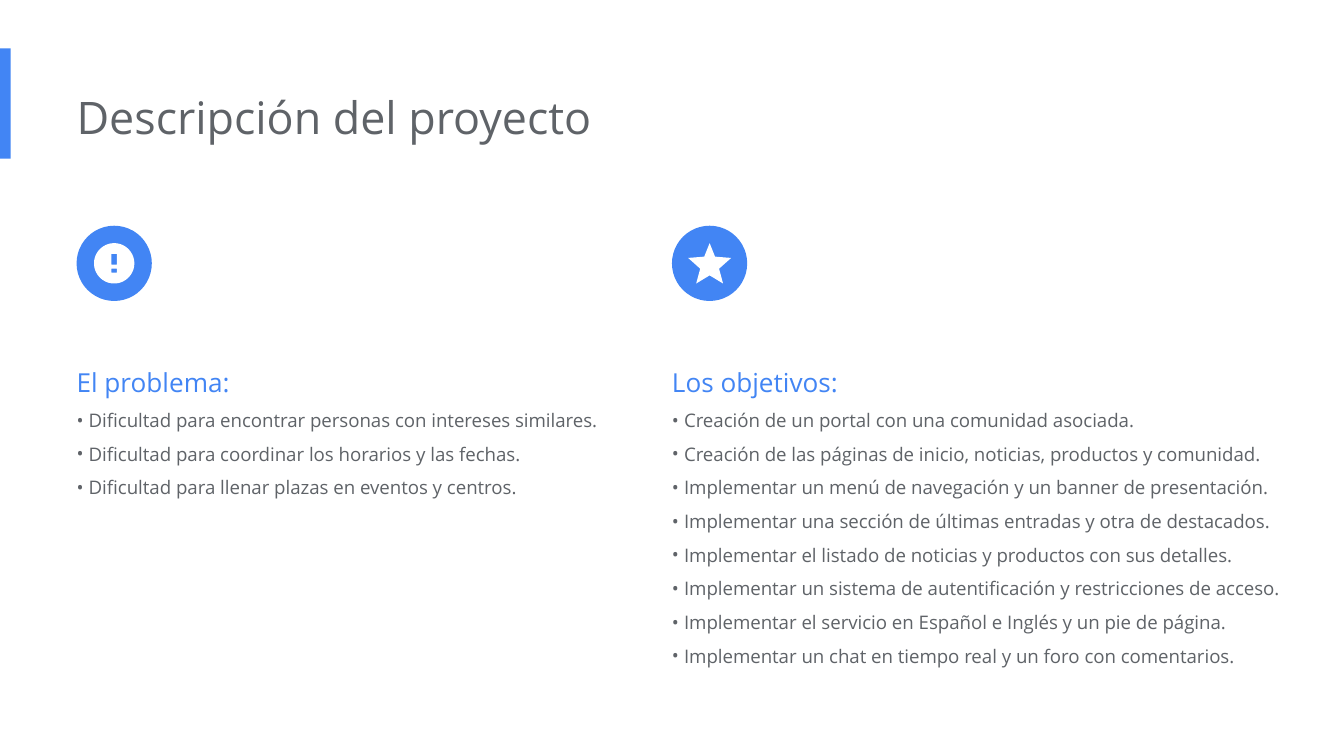
from math import cos, pi, sin

from lxml import etree
from pptx import Presentation
from pptx.dml.color import RGBColor
from pptx.enum.shapes import MSO_SHAPE
from pptx.enum.text import PP_ALIGN
from pptx.oxml.ns import qn
from pptx.util import Inches, Pt

RECTANGLE, OVAL = MSO_SHAPE.RECTANGLE, MSO_SHAPE.OVAL
LEFT, JUSTIFY = PP_ALIGN.LEFT, PP_ALIGN.JUSTIFY

# Content
TITLE = "Descripción del proyecto"
COLUMNS = [
    {
        "heading": "El problema:",
        "icon": "alert",
        "left": 0.57, "width": 4, "height": 1.79,
        "items": [
            "Dificultad para encontrar personas con intereses similares.",
            "Dificultad para coordinar los horarios y las fechas.",
            "Dificultad para llenar plazas en eventos y centros.",
        ],
    },
    {
        "heading": "Los objetivos:",
        "icon": "star",
        "left": 5, "width": 4.64, "height": 2.55,
        "items": [
            "Creación de un portal con una comunidad asociada.",
            "Creación de las páginas de inicio, noticias, productos y comunidad.",
            "Implementar un menú de navegación y un banner de presentación.",
            "Implementar una sección de últimas entradas y otra de destacados.",
            "Implementar el listado de noticias y productos con sus detalles.",
            "Implementar un sistema de autentificación y restricciones de acceso.",
            "Implementar el servicio en Español e Inglés y un pie de página.",
            "Implementar un chat en tiempo real y un foro con comentarios.",
        ],
    },
]
JUSTIFIED_ITEMS = 4  # later items are left-aligned

THEME = {
    "font": "Open Sans",
    "accent": RGBColor(0x42, 0x85, 0xF4),
    "text": RGBColor(0x5F, 0x63, 0x68),
    "white": RGBColor(0xFF, 0xFF, 0xFF),
    "title_size": Pt(24),
    "heading_size": Pt(14),
    "item_size": Pt(10),
}

# Layout, in inches
SLIDE_WIDTH = 10
SLIDE_HEIGHT = SLIDE_WIDTH * 9 / 16
BADGE_TOP, BADGE_SIZE = 1.68, 0.56
COLUMN_TOP = 2.45
BULLET_INDENT = 0.09


def circle(radius, steps=72):
    return [(radius * cos(2 * pi * i / steps), radius * sin(2 * pi * i / steps))
            for i in range(steps)]


def box(left, top, right, bottom):
    return [(left, top), (right, top), (right, bottom), (left, bottom)]


# Icon outlines, measured from the centre of the badge
ICONS = {
    "alert": [circle(0.15), box(-0.02, -0.07, 0.02, 0.01), box(-0.02, 0.04, 0.02, 0.07)],
    "star": [[(0, 0.09), (0.1, 0.15), (0.07, 0.04), (0.16, -0.04), (0.04, -0.05),
              (0, -0.15), (-0.04, -0.05), (-0.16, -0.04), (-0.07, 0.04), (-0.1, 0.15)]],
}


def paint(shape, color):
    shape.fill.solid()
    shape.fill.fore_color.rgb = color
    shape.line.fill.background()
    shape.shadow.inherit = False


def add_block(slide, kind, color, *bounds):
    paint(slide.shapes.add_shape(kind, *map(Inches, bounds)), color)


def add_icon(slide, outlines, center_x, center_y):
    contours = [[(Inches(center_x + x), Inches(center_y + y)) for x, y in outline]
                for outline in outlines]
    builder = slide.shapes.build_freeform(*contours[0][0])
    for number, contour in enumerate(contours):
        if number:
            builder.move_to(*contour[0])
        builder.add_line_segments(contour[1:], close=True)
    paint(builder.convert_to_shape(), THEME["white"])


def add_text_frame(slide, *bounds):
    frame = slide.shapes.add_textbox(*map(Inches, bounds)).text_frame
    frame.word_wrap = True
    frame.margin_left = 0
    frame.margin_top = frame.margin_right = frame.margin_bottom = Inches(0.1)
    return frame


def style(paragraph, size, color, spacing=1.0, align=LEFT):
    paragraph.alignment = align
    paragraph.line_spacing = spacing
    for run in paragraph.runs:
        run.font.name = THEME["font"]
        run.font.size = size
        run.font.color.rgb = color


def add_bullet(paragraph):
    properties = paragraph._p.get_or_add_pPr()
    properties.set("marL", str(Inches(BULLET_INDENT)))
    properties.set("indent", str(-Inches(BULLET_INDENT)))
    etree.SubElement(properties, qn("a:buFont")).set("typeface", THEME["font"])
    etree.SubElement(properties, qn("a:buChar")).set("char", "•")


def add_column(slide, column):
    left = column["left"]
    # Badge and icon
    add_block(slide, OVAL, THEME["accent"], left, BADGE_TOP, BADGE_SIZE, BADGE_SIZE)
    add_icon(slide, ICONS[column["icon"]], left + BADGE_SIZE / 2, BADGE_TOP + BADGE_SIZE / 2)

    # Heading and list
    frame = add_text_frame(slide, left, COLUMN_TOP, column["width"], column["height"])
    heading = frame.paragraphs[0]
    heading.text = column["heading"]
    style(heading, THEME["heading_size"], THEME["accent"], 1.75)
    for number, text in enumerate(column["items"]):
        item = frame.add_paragraph()
        item.text = text
        add_bullet(item)
        style(item, THEME["item_size"], THEME["text"], 1.5,
              JUSTIFY if number < JUSTIFIED_ITEMS else LEFT)


def main():
    deck = Presentation()
    deck.slide_width, deck.slide_height = Inches(SLIDE_WIDTH), Inches(SLIDE_HEIGHT)
    slide = deck.slides.add_slide(deck.slide_layouts[6])

    # Accent bar and title
    add_block(slide, RECTANGLE, THEME["accent"], 0, 0.36, 0.08, 0.82)
    title_frame = add_text_frame(slide, 0.57, 0.57, 6.73, 1.01)
    title_frame.text = TITLE
    style(title_frame.paragraphs[0], THEME["title_size"], THEME["text"])

    for column in COLUMNS:
        add_column(slide, column)

    deck.save("out.pptx")


if __name__ == "__main__":
    main()
